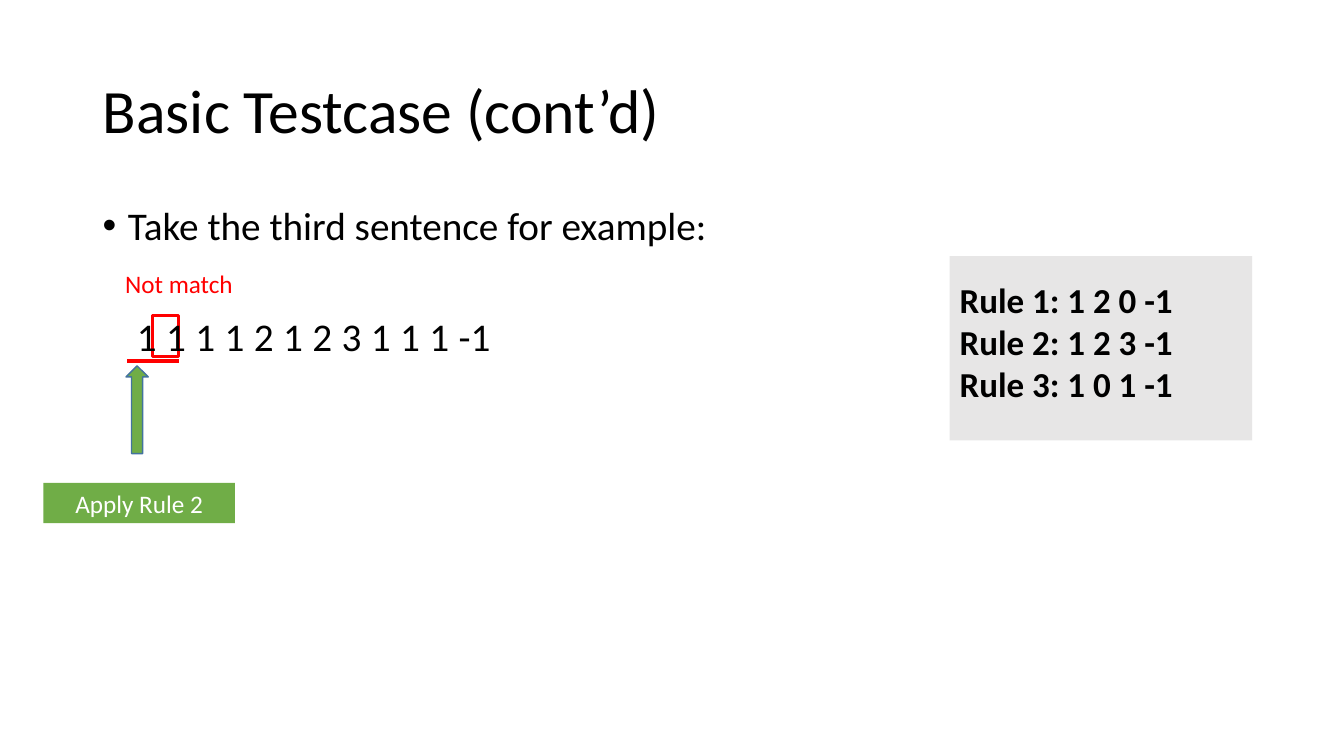
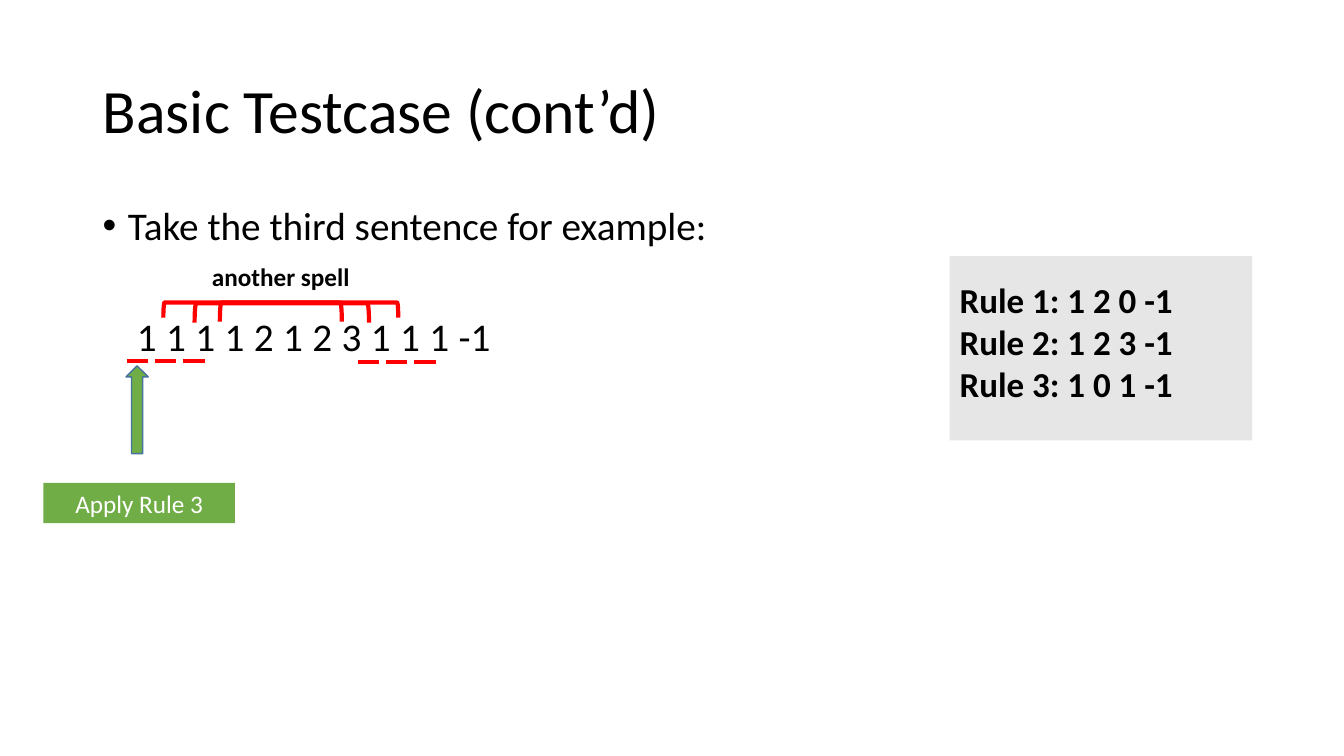
import lxml.etree
import pptx
import pptx.dml.color
import pptx.enum.shapes
import pptx.enum.text
import pptx.oxml.ns
import pptx.util

SHAPE = pptx.enum.shapes.MSO_SHAPE
ALIGN = pptx.enum.text.PP_ALIGN
ANCHOR = pptx.enum.text.MSO_ANCHOR
EMU_PER_PX = 9144  # 100 px to the inch
BLACK, WHITE, RED = "000000", "FFFFFF", "FF0000"
GREEN, ARROW_EDGE, GRAY = "70AD47", "43739E", "E7E6E6"
SENTENCE = "1 1 1 1 2 1 2 3 1 1 1 -1".split()
RULES = ["Rule 1: 1 2 0 -1", "Rule 2: 1 2 3 -1", "Rule 3: 1 0 1 -1"]


def px(n):
    return pptx.util.Emu(round(n * EMU_PER_PX))


def color(value):
    return pptx.dml.color.RGBColor.from_string(value)


def apply(obj, formats):
    """Set each attribute named in the dict."""
    for name, value in formats.items():
        setattr(obj, name, value)


class Deck:
    font = "Calibri"

    def __init__(self, width, height):
        self.prs = pptx.Presentation()
        apply(self.prs, {"slide_width": px(width), "slide_height": px(height)})
        self.s = None

    def slide(self, title):
        self.s = self.prs.slides.add_slide(self.prs.slide_layouts[5])
        sp = self.s.shapes.title
        self.place(sp, 92, 40, 1150, 145)
        self.fill_text(sp, [title], 44, anchor=ANCHOR.MIDDLE, spacing=0.9)

    def place(self, sp, x, y, w, h):
        apply(sp, {"left": px(x), "top": px(y), "width": px(w), "height": px(h)})

    def fill_text(self, sp, lines, size, fill=BLACK, bold=False, align=ALIGN.LEFT,
                  anchor=ANCHOR.TOP, spacing=1.0, inset=(10, 5, 10, 5)):
        """Fill the shape with one paragraph per line; inset is left, top, right, bottom."""
        tf = sp.text_frame
        apply(tf, {"word_wrap": True, "vertical_anchor": anchor,
                   "auto_size": pptx.enum.text.MSO_AUTO_SIZE.NONE})
        sides = ("margin_left", "margin_top", "margin_right", "margin_bottom")
        apply(tf, dict(zip(sides, map(px, inset))))
        for i, line in enumerate(lines):
            p = tf.add_paragraph() if i else tf.paragraphs[0]
            apply(p, {"alignment": align, "line_spacing": spacing})
            r = p.add_run()
            r.text = line
            apply(r.font, {"name": self.font, "size": pptx.util.Pt(size), "bold": bold})
            r.font.color.rgb = color(fill)

    def text(self, box, line, size, **style):
        sp = self.s.shapes.add_textbox(*map(px, box))
        self.fill_text(sp, [line], size, **style)
        return sp

    def bullet(self, box, line, size):
        sp = self.text(box, line, size, spacing=0.9)
        ppr = sp.text_frame.paragraphs[0]._p.get_or_add_pPr()
        ppr.set("marL", str(px(25)))
        ppr.set("indent", str(px(-25)))
        qn = pptx.oxml.ns.qn
        lxml.etree.SubElement(ppr, qn("a:buFont")).set("typeface", "Arial")
        lxml.etree.SubElement(ppr, qn("a:buChar")).set("char", "•")

    def shape(self, kind, box, fill=None, line=None, weight=1):
        sp = self.s.shapes.add_shape(kind, *map(px, box))
        sp.shadow.inherit = False
        if fill:
            sp.fill.solid()
            sp.fill.fore_color.rgb = color(fill)
        else:
            sp.fill.background()
        if line:
            sp.line.color.rgb = color(line)
            sp.line.width = pptx.util.Pt(weight)
        else:
            sp.line.fill.background()
        return sp

    def underline(self, x, y, width):
        ends = map(px, (x, y, x + width, y))
        cn = self.s.shapes.add_connector(pptx.enum.shapes.MSO_CONNECTOR.STRAIGHT, *ends)
        cn.line.color.rgb = color(RED)
        cn.line.width = pptx.util.Pt(3)
        lxml.etree.SubElement(cn._element.spPr, pptx.oxml.ns.qn("a:effectLst"))

    def bracket(self, x, y, w, h):
        """Draw a bracket that opens downward over the given area."""
        upright = (x + (w - h) / 2, y + (h - w) / 2, h, w)
        self.shape(SHAPE.LEFT_BRACKET, upright, line=RED, weight=3).rotation = 90

    def example(self, rule):
        """Draw what every step of the worked example shows."""
        self.slide("Basic Testcase (cont’d)")
        self.bullet((92, 200, 1150, 476), "Take the third sentence for example:", 28)
        rules = self.shape(SHAPE.RECTANGLE, (942, 254, 300, 183), GRAY)
        self.fill_text(rules, RULES, 25, bold=True, inset=(10, 22, 10, 5))
        self.shape(SHAPE.UP_ARROW, (125, 363, 22, 87), GREEN, ARROW_EDGE)
        label = self.shape(SHAPE.RECTANGLE, (43, 479, 190, 40), GREEN)
        self.fill_text(label, [f"Apply Rule {rule}"], 18, WHITE,
                       align=ALIGN.CENTER, anchor=ANCHOR.MIDDLE)

    def sentence(self):
        for i, token in enumerate(SENTENCE):
            width = 19 if len(token) == 1 else 52
            self.text((126 + 29 * i, 305, width, 57), token, 28, inset=(10, 5, 0, 5))


def main():
    deck = Deck(1333, 750)

    deck.example(2)
    deck.underline(126, 358, 52)
    deck.shape(SHAPE.RECTANGLE, (151, 313, 26, 41), line=RED, weight=2.25)
    deck.text((103, 261, 149, 40), "Not match", 18, fill=RED, align=ALIGN.CENTER)
    deck.sentence()

    deck.example(3)
    for start, y in ((126, 358), (355, 359)):
        for i in range(3):
            deck.underline(start + 28 * i, y, 21)
    for area in ((162, 300, 233, 15), (193, 301, 173, 19), (218, 300, 121, 19)):
        deck.bracket(*area)
    deck.text((177, 254, 203, 40), "another spell", 18, bold=True, align=ALIGN.CENTER)
    deck.sentence()

    deck.prs.save("out.pptx")


if __name__ == "__main__":
    main()
